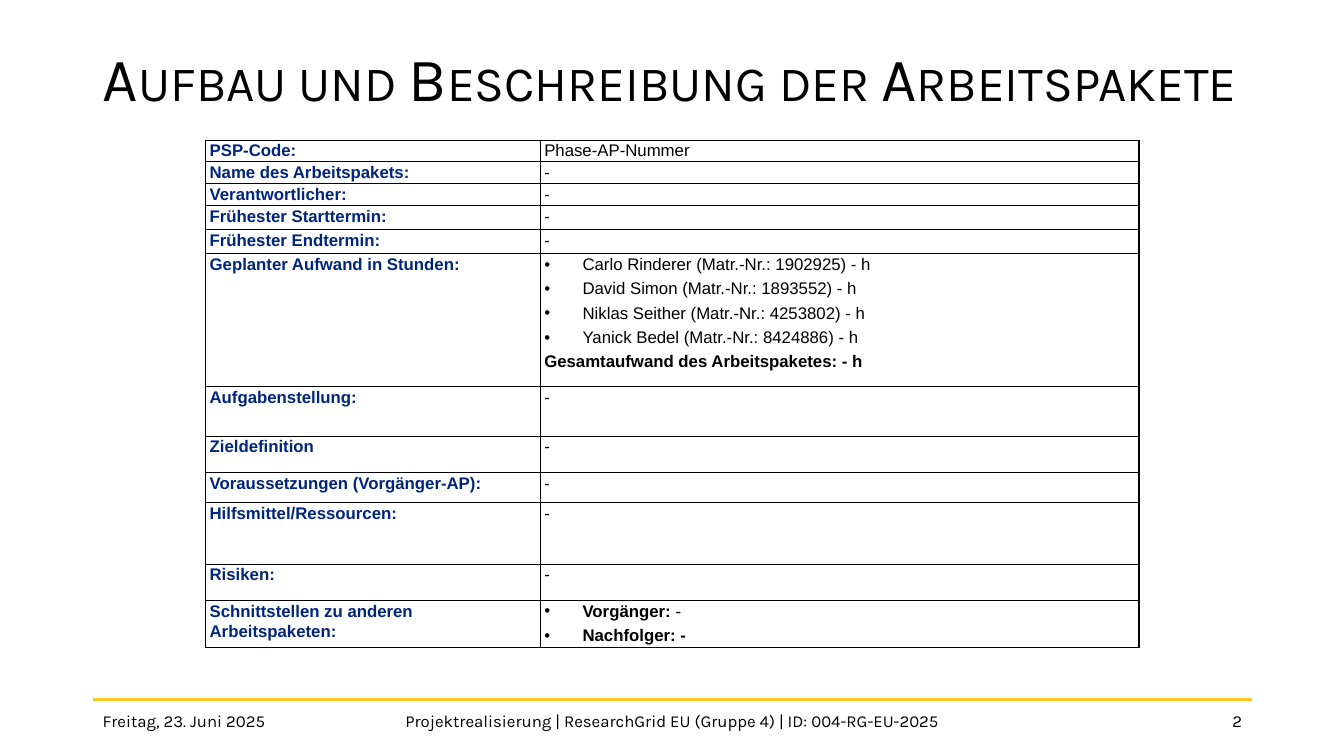
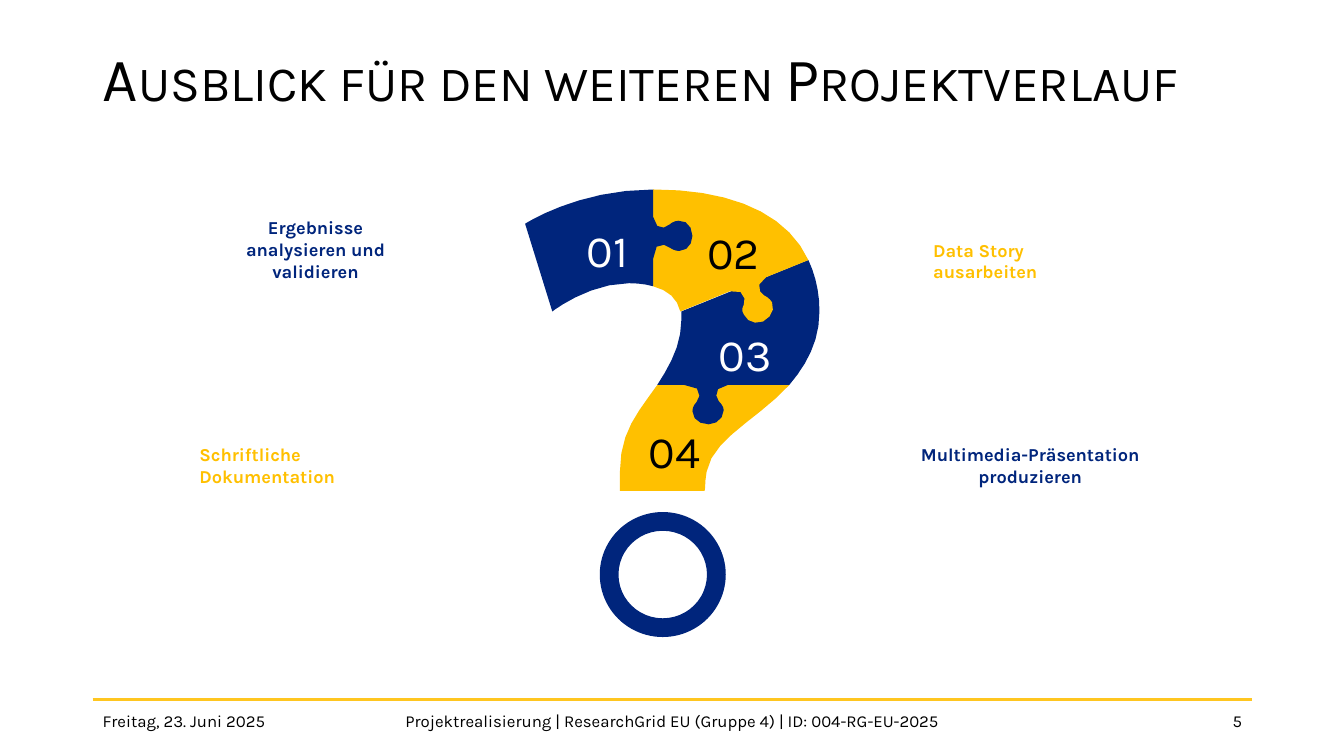
"""Build two project slides: a work package table and a puzzle outlook."""
import math
from lxml import etree
from pptx import Presentation
from pptx import util as u
from pptx.dml.color import RGBColor
from pptx.enum import shapes as es, text as et
from pptx.oxml.ns import qn

NAVY, GOLD, RULE, BLACK, WHITE = "00257C", "FFC000", "FFC620", "000000", "FFFFFF"
LEFT, MID, RIGHT, JUST = (et.PP_ALIGN.LEFT, et.PP_ALIGN.CENTER,
                          et.PP_ALIGN.RIGHT, et.PP_ALIGN.JUSTIFY)
DATE = "Freitag, 23. Juni 2025"
NOTE = "Projektrealisierung | ResearchGrid EU (Gruppe 4) | ID: 004-RG-EU-2025"

COLS = [3.32, 5.94]
TEAM = [("Carlo Rinderer", 1902925), ("David Simon", 1893552),
        ("Niklas Seither", 4253802), ("Yanick Bedel", 8424886)]
HOURS = [dict(runs=f"{name} (Matr.-Nr.: {code}) - h", dot=True, after=3)
         for name, code in TEAM]
HOURS.append(dict(runs="Gesamtaufwand des Arbeitspaketes: - h", bold=True, align=JUST))
LINKS = [dict(runs=[("Vorgänger: ", True), ("-", False)], dot=True, after=3, align=JUST),
         dict(runs="Nachfolger: -", bold=True, dot=True, after=3, align=JUST)]
DASH = [dict(runs="-", align=JUST)]
ROWS = [
    (0.12, "PSP-Code:", [dict(runs="Phase-AP-Nummer", align=JUST)]),
    (0.22, "Name des Arbeitspakets:", DASH),
    (0.12, "Verantwortlicher:", DASH),
    (0.24, "Frühester Starttermin:", DASH),
    (0.24, "Frühester Endtermin:", DASH),
    (1.32, "Geplanter Aufwand in Stunden:", HOURS),
    (0.49, "Aufgabenstellung:", DASH),
    (0.36, "Zieldefinition", DASH),
    (0.3, "Voraussetzungen (Vorgänger-AP):", DASH),
    (0.61, "Hilfsmittel/Ressourcen:", DASH),
    (0.36, "Risiken:", DASH),
    (0.36, "Schnittstellen zu anderen Arbeitspaketen:", LINKS),
]

PARTS = [
    ("04", GOLD, BLACK, (6.34, 4.15), """M 6.52 3.82 C 6.33 4.09 6.15 4.28 6.15 4.68
     L 6.15 4.87 L 6.99 4.87 C 7 4.87 6.99 4.77 7.01 4.68
     C 7.07 4.35 7.52 4.16 7.83 3.82"""),
    ("03", NAVY, WHITE, (7.03, 3.19), """M 8.13 3.09 C 8.13 2.9 8.09 2.73 8.02 2.58
     L 6.76 3.09 C 6.76 3.11 6.76 3.14 6.76 3.17 C 6.76 3.42 6.65 3.62 6.52 3.82
     L 6.79 3.82 C 6.98 3.82 6.95 3.95 6.91 3.99 C 6.88 4.02 6.87 4.05 6.87 4.08
     C 6.87 4.16 6.94 4.21 7.03 4.21 C 7.11 4.21 7.18 4.15 7.18 4.07
     C 7.18 4.04 7.16 4.01 7.13 3.98 C 7.1 3.94 7.07 3.84 7.22 3.82
     L 7.83 3.82 C 8 3.62 8.13 3.39 8.13 3.09"""),
    ("02", GOLD, BLACK, (6.92, 2.18), """M 7.58 2.93 C 7.54 2.91 7.48 2.82 7.6 2.75
     L 8.02 2.58 C 7.81 2.12 7.26 1.88 6.49 1.88 L 6.48 1.88 L 6.48 2.84
     C 6.63 2.88 6.72 2.96 6.75 3.09 L 7.24 2.89 C 7.39 2.85 7.4 2.98 7.38 3.02
     C 7.36 3.06 7.36 3.09 7.38 3.12 C 7.41 3.19 7.49 3.22 7.57 3.19
     C 7.65 3.15 7.69 3.07 7.66 3 C 7.64 2.97 7.62 2.95 7.58 2.93"""),
    ("01", NAVY, WHITE, (5.72, 2.16), """M 6.73 2.19 C 6.7 2.19 6.66 2.21 6.64 2.23
     C 6.6 2.27 6.5 2.29 6.48 2.15 L 6.48 1.88 C 5.73 1.88 5.21 2.22 5.21 2.22
     L 5.48 3.09 C 5.48 3.09 5.84 2.81 6.24 2.81 C 6.33 2.81 6.41 2.82 6.48 2.84
     L 6.48 2.57 C 6.48 2.38 6.61 2.42 6.65 2.46 C 6.68 2.48 6.71 2.49 6.74 2.49
     C 6.82 2.49 6.87 2.42 6.87 2.34 C 6.87 2.25 6.81 2.18 6.73 2.19"""),
]
STEPS = [
    ("Schriftliche Dokumentation", (1.88, 4.35, 1.9, 0.54), GOLD, LEFT),
    ("Ergebnisse analysieren und validieren", (2.18, 2.1, 1.9, 0.76), NAVY, MID),
    ("Data Story ausarbeiten", (9.16, 2.32, 1.9, 0.54), GOLD, LEFT),
    ("Multimedia-Präsentation produzieren", (8.95, 4.35, 2.54, 0.54), NAVY, MID),
]


def rgb(code):
    return RGBColor.from_string(code)


def inch(*nums):
    return [u.Inches(n) for n in nums]


def write(para, runs, size=12, font="Karla", color=BLACK, bold=False, align=LEFT,
          space=None, after=None, dot=False, caps=False):
    para.alignment = align
    if space:
        para.line_spacing = space
    if after is not None:
        para.space_after = u.Pt(after)
    if dot:
        props = para._p.get_or_add_pPr()
        props.set("marL", str(u.Inches(0.38)))
        props.set("indent", str(-u.Inches(0.38)))
        etree.SubElement(props, qn("a:buFont")).set("typeface", font)
        etree.SubElement(props, qn("a:buChar")).set("char", "•")
    for words, heavy in [(runs, bold)] if isinstance(runs, str) else runs:
        run = para.add_run()
        run.text = words
        face = run.font
        face.name, face.size, face.bold = font, u.Pt(size), heavy
        face.color.rgb = rgb(color)
        if caps:
            run._r.get_or_add_rPr().set("cap", "small")


def label(slide, words, box, mid=False, **form):
    frame = slide.shapes.add_textbox(*inch(*box)).text_frame
    frame.word_wrap = True
    if mid:
        frame.vertical_anchor = et.MSO_ANCHOR.MIDDLE
    write(frame.paragraphs[0], words, **form)


def page(deck, title, num):
    slide = deck.slides.add_slide(deck.slide_layouts[5])
    head = slide.shapes.title
    head.left, head.top, head.width, head.height = inch(0.92, 0.08, 11.63, 1.45)
    head.text_frame.auto_size = et.MSO_AUTO_SIZE.NONE
    head.text_frame.vertical_anchor = et.MSO_ANCHOR.MIDDLE
    write(head.text_frame.paragraphs[0], title, size=44, space=0.9, caps=True)
    rule = slide.shapes.add_connector(es.MSO_CONNECTOR.STRAIGHT,
                                      *inch(0.92, 6.94, 12.42, 6.94))
    rule.line.color.rgb, rule.line.width = rgb(RULE), u.Pt(1.5)
    etree.SubElement(rule._element.spPr, qn("a:effectLst"))
    for words, left, width, align in [(DATE, 0.92, 3, LEFT), (NOTE, 3.82, 5.7, MID),
                                      (num, 9.42, 3, RIGHT)]:
        label(slide, words, (left, 6.95, width, 0.4), mid=True, align=align)
    return slide


def edge(cell):
    props = cell._tc.get_or_add_tcPr()
    for side in "LRTB":
        line = etree.SubElement(props, qn("a:ln" + side), w=str(u.Pt(1)))
        fill = etree.SubElement(line, qn("a:solidFill"))
        etree.SubElement(fill, qn("a:srgbClr"), val=BLACK)


def fill_cell(cell, items, **base):
    edge(cell)
    cell.fill.background()
    cell.margin_left = cell.margin_right = u.Inches(0.04)
    cell.margin_top = cell.margin_bottom = 0
    frame = cell.text_frame
    for i, item in enumerate(items):
        para = frame.add_paragraph() if i else frame.paragraphs[0]
        write(para, **{"font": "Arial", "space": 1.07, "after": 8, **base, **item})


def grid(slide):
    high = sum(row[0] for row in ROWS)
    table = slide.shapes.add_table(len(ROWS), len(COLS),
                                   *inch(2.04, 1.39, sum(COLS), high)).table
    table.first_row = table.horz_banding = False
    for col, width in zip(table.columns, COLS):
        col.width = u.Inches(width)
    for i, (height, name, items) in enumerate(ROWS):
        table.rows[i].height = u.Inches(height)
        fill_cell(table.cell(i, 0), [dict(runs=name)], color=NAVY, bold=True)
        fill_cell(table.cell(i, 1), items)


def trace(text):
    """Turn M, L and C commands into points, with more of them on longer curves."""
    dots = []
    for part in text.replace("M", "L").replace("L", "|L").replace("C", "|C").split("|")[1:]:
        kind, *nums = part.split()
        nums = [float(n) for n in nums]
        ends = list(zip(nums[::2], nums[1::2]))
        if kind == "L":
            dots += ends
            continue
        a, b, c, d = [dots[-1]] + ends
        steps = 3 + int(4 * math.dist(a, d))
        for t in (k / steps for k in range(1, steps + 1)):
            s = 1 - t
            dots.append(tuple(s**3 * p + 3 * s * s * t * q + 3 * s * t * t * r + t**3 * v
                              for p, q, r, v in zip(a, b, c, d)))
    return dots


def paint(shape, color):
    shape.shadow.inherit = False
    shape.fill.solid()
    shape.fill.fore_color.rgb = rgb(color)
    shape.line.fill.background()


def puzzle(slide):
    for _, color, _, _, text in PARTS:
        first, *rest = [inch(*dot) for dot in trace(text)]
        pen = slide.shapes.build_freeform(*first)
        pen.add_line_segments(rest, close=True)
        paint(pen.convert_to_shape(), color)
    ring = slide.shapes.add_shape(es.MSO_SHAPE.DONUT, *inch(5.95, 5.08, 1.25, 1.24))
    ring.adjustments[0] = 0.15
    paint(ring, NAVY)
    for num, _, color, spot, _ in PARTS:
        label(slide, num, (*spot, 0.77, 0.64), size=32, color=color)
    for words, box, color, align in STEPS:
        label(slide, words, box, size=13, color=color, bold=True, align=align)


def main():
    deck = Presentation()
    deck.slide_width, deck.slide_height = u.Inches(40) // 3, u.Inches(7.5)
    grid(page(deck, "Aufbau und Beschreibung der Arbeitspakete", "2"))
    puzzle(page(deck, "Ausblick für den weiteren Projektverlauf", "5"))
    deck.save("out.pptx")


if __name__ == "__main__":
    main()
